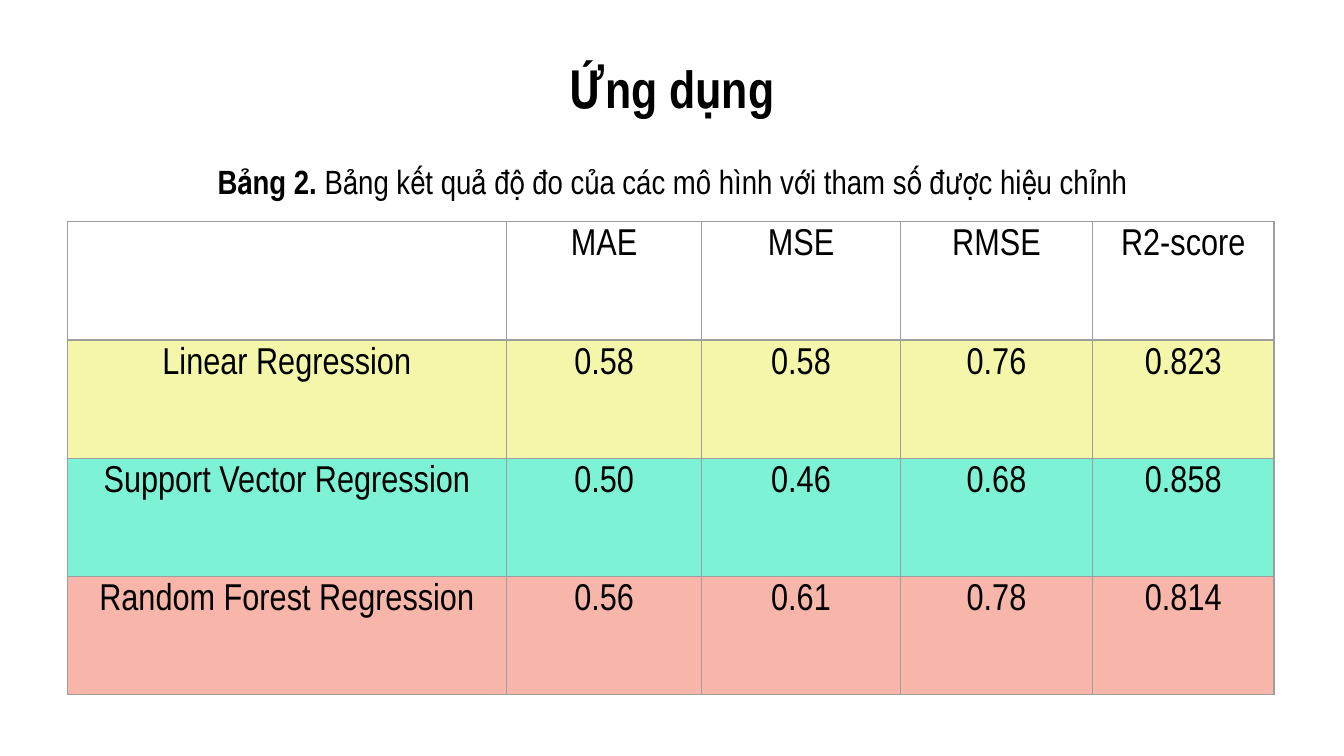
"""Build a slide with a table of regression model scores."""
from lxml import etree
from pptx import Presentation
from pptx import util as u
from pptx.dml import color
from pptx.enum import text
from pptx.oxml import ns

COLORS = {"text": "000000", "border": "9E9E9E", "linear": "F4F7A9",
          "vector": "7DF2D4", "forest": "F7B6A9"}
SCORES = [
    (None, ["", "MAE", "MSE", "RMSE", "R2-score"]),
    ("linear", ["Linear Regression", "0.58", "0.58", "0.76", "0.823"]),
    ("vector", ["Support Vector Regression", "0.50", "0.46", "0.68", "0.858"]),
    ("forest", ["Random Forest Regression", "0.56", "0.61", "0.78", "0.814"]),
]
COLUMN_WIDTHS = [3.27, 1.45, 1.48, 1.43, 1.35]
ROW_HEIGHT = 0.88


def format_text(paragraph, size, bold=False):
    paragraph.alignment = text.PP_ALIGN.CENTER
    for run in paragraph.runs:
        run.font.name = "Arial Narrow"
        run.font.size = u.Pt(size)
        run.font.bold = bold
        run.font.color.rgb = color.RGBColor.from_string(COLORS["text"])


def add_borders(cell):
    properties = cell._tc.get_or_add_tcPr()
    for side in ("lnL", "lnR", "lnT", "lnB"):
        line = etree.SubElement(properties, ns.qn(f"a:{side}"), w=str(u.Pt(0.75)))
        fill = etree.SubElement(line, ns.qn("a:solidFill"))
        etree.SubElement(fill, ns.qn("a:srgbClr"), val=COLORS["border"])


prs = Presentation()
prs.slide_width = u.Inches(10)
prs.slide_height = u.Inches(10 * 9 / 16)
slide = prs.slides.add_slide(prs.slide_layouts[5])

title = slide.shapes.title
title.left, title.top = u.Inches(0.5), u.Inches(0.45)
title.width, title.height = u.Inches(9), u.Inches(0.41)
title.text_frame.text = "Ứng dụng"
title.text_frame.vertical_anchor = text.MSO_ANCHOR.MIDDLE
title.text_frame.margin_left = title.text_frame.margin_right = u.Inches(0.1)
title.text_frame.margin_top = title.text_frame.margin_bottom = u.Inches(0.1)
format_text(title.text_frame.paragraphs[0], 28, bold=True)

caption = slide.shapes.add_textbox(u.Inches(1.45), u.Inches(1.15), u.Inches(7.11), u.Inches(0.4))
caption.text_frame.word_wrap = False
caption.text_frame.auto_size = text.MSO_AUTO_SIZE.SHAPE_TO_FIT_TEXT
caption_line = caption.text_frame.paragraphs[0]
for wording in ("Bảng 2.", " Bảng kết quả độ đo của các mô hình với tham số được hiệu chỉnh"):
    caption_line.add_run().text = wording
format_text(caption_line, 18)
caption_line.runs[0].font.bold = True

scores = slide.shapes.add_table(
    len(SCORES), len(COLUMN_WIDTHS), u.Inches(0.5), u.Inches(1.65),
    u.Inches(sum(COLUMN_WIDTHS)), u.Inches(ROW_HEIGHT * len(SCORES))).table
scores.first_row = scores.horz_banding = False
for column, width in zip(scores.columns, COLUMN_WIDTHS):
    column.width = u.Inches(width)
for row, (model, values) in zip(scores.rows, SCORES):
    row.height = u.Inches(ROW_HEIGHT)
    for cell, value in zip(row.cells, values):
        cell.text_frame.text = value
        format_text(cell.text_frame.paragraphs[0], 20)
        add_borders(cell)
        if model:
            cell.fill.solid()
            cell.fill.fore_color.rgb = color.RGBColor.from_string(COLORS[model])
        else:
            cell.fill.background()

prs.save("out.pptx")
